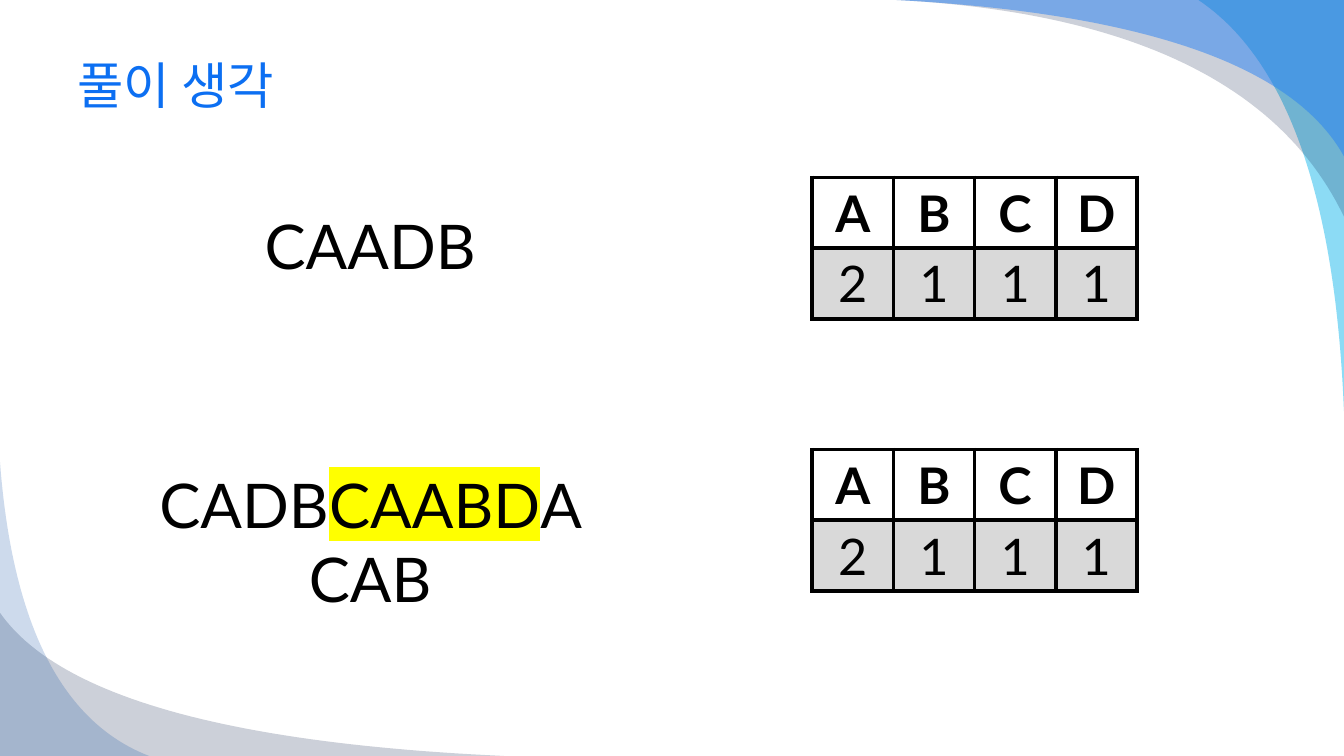
from dataclasses import dataclass

from lxml.etree import SubElement
from pptx import Presentation
from pptx.dml.color import RGBColor
from pptx.enum.text import MSO_ANCHOR as Anchor, PP_ALIGN as Align
from pptx.oxml import parse_xml
from pptx.oxml.ns import nsdecls, qn
from pptx.util import Cm, Pt

WIDE, HIGH = 33.87, 19.05


@dataclass(frozen=True)
class Theme:
    font: str = "Lato"
    title: str = "0C6FF2"
    ink: str = "000000"
    head: str = "FFFFFF"
    cell: str = "D9D9D9"
    mark: str = "FFFF00"
    cyan: str = "00B1E9"
    navy: str = "021741"
    blue: str = "247FF4"
    steel: str = "084AA1"
    big: int = 44
    mid: int = 36
    rule: int = 3


THEME = Theme()


def paint(fill, color):
    fill.solid()
    fill.fore_color.rgb = RGBColor.from_string(color)


def swoosh(slide, start, mid, end, corner, color, alpha):
    """Fill a corner up to a quadratic curve running from start through mid to end."""
    bend = [2 * m - (s + e) / 2 for s, m, e in zip(start, mid, end)]
    steps = 50
    curve = []
    for i in range(1, steps + 1):
        t = i / steps
        curve.append([Cm((1 - t) ** 2 * s + 2 * t * (1 - t) * b + t * t * e)
                      for s, b, e in zip(start, bend, end)])
    path = slide.shapes.build_freeform(Cm(start[0]), Cm(start[1]))
    path.add_line_segments(curve + [[Cm(v) for v in corner]], close=True)
    shape = path.convert_to_shape()
    shape.shadow.inherit = False
    shape.line.fill.background()
    paint(shape.fill, color)
    tint = shape.fill._xPr.find(qn("a:solidFill"))[0]
    SubElement(tint, qn("a:alpha"), val=str(alpha * 1000))


def write(frame, *parts, size=THEME.mid, color=THEME.ink, bold=False,
          align=Align.CENTER, marked=None):
    """Write the parts as runs of one paragraph; highlight the part equal to marked."""
    line = frame.paragraphs[0]
    line.alignment = align
    for part in parts:
        run = line.add_run()
        run.text = part
        font = run.font
        font.size, font.bold = Pt(size), bold
        font.color.rgb = RGBColor.from_string(color)
        if part == marked:
            glow = SubElement(font._element, qn("a:highlight"))
            SubElement(glow, qn("a:srgbClr"), val=THEME.mark)
        font.name = THEME.font


def box(slide, left, top, width, height, inset=0.0, anchor=Anchor.TOP):
    frame = slide.shapes.add_textbox(Cm(left), Cm(top), Cm(width), Cm(height)).text_frame
    frame.word_wrap = True
    frame.vertical_anchor = anchor
    frame.margin_left = frame.margin_right = Cm(inset)
    frame.margin_top = frame.margin_bottom = 0
    return frame


def edge(cell):
    """Draw a solid rule on all four sides of a cell."""
    props = cell._tc.get_or_add_tcPr()
    for i, side in enumerate("LRTB"):
        props.insert(i, parse_xml(
            f'<a:ln{side} {nsdecls("a")} w="{Pt(THEME.rule)}"><a:solidFill>'
            f'<a:srgbClr val="{THEME.ink}"/></a:solidFill></a:ln{side}>'))


def tally(slide, top, counts):
    """Add a table with letters above their counts."""
    table = slide.shapes.add_table(
        2, len(counts), Cm(20.47), Cm(top), Cm(8.18), Cm(3.56)).table
    for r, row in enumerate((counts.keys(), counts.values())):
        for c, value in enumerate(row):
            cell = table.cell(r, c)
            cell.vertical_anchor = Anchor.MIDDLE
            paint(cell.fill, THEME.cell if r else THEME.head)
            edge(cell)
            write(cell.text_frame, str(value), bold=r == 0)


def main():
    deck = Presentation()
    deck.slide_width, deck.slide_height = Cm(WIDE), Cm(HIGH)
    slide = deck.slides.add_slide(deck.slide_layouts[6])

    right, left = (WIDE, 0), (0, HIGH)
    swoosh(slide, (30.2, 0), (32.79, 3.71), (WIDE, 10.36), right, THEME.cyan, 45)
    swoosh(slide, (22.58, 0), (29.85, 1.6), (WIDE, 5.46), right, THEME.navy, 20)
    swoosh(slide, (22.58, 0), (30.1, 1.24), (WIDE, 3.94), right, THEME.blue, 49)
    swoosh(slide, (0, 15.44), (4.27, 17.91), (12.7, HIGH), left, THEME.navy, 20)
    swoosh(slide, (0, 11.63), (1.17, 16.56), (3.76, HIGH), left, THEME.steel, 20)

    title = box(slide, 1.7, 0.84, 30.48, 2.57, inset=0.25, anchor=Anchor.MIDDLE)
    write(title, "풀이 생각", color=THEME.title, align=Align.LEFT)
    write(box(slide, 3.68, 5.24, 11.3, 1.9), "CAADB", size=THEME.big)
    write(box(slide, 3.68, 11.76, 11.3, 3.8), "CADB", "CAABD", "ACAB",
          size=THEME.big, marked="CAABD")

    counts = {"A": 2, "B": 1, "C": 1, "D": 1}
    for top in (4.47, 11.33):
        tally(slide, top, counts)
    deck.save("out.pptx")


if __name__ == "__main__":
    main()
